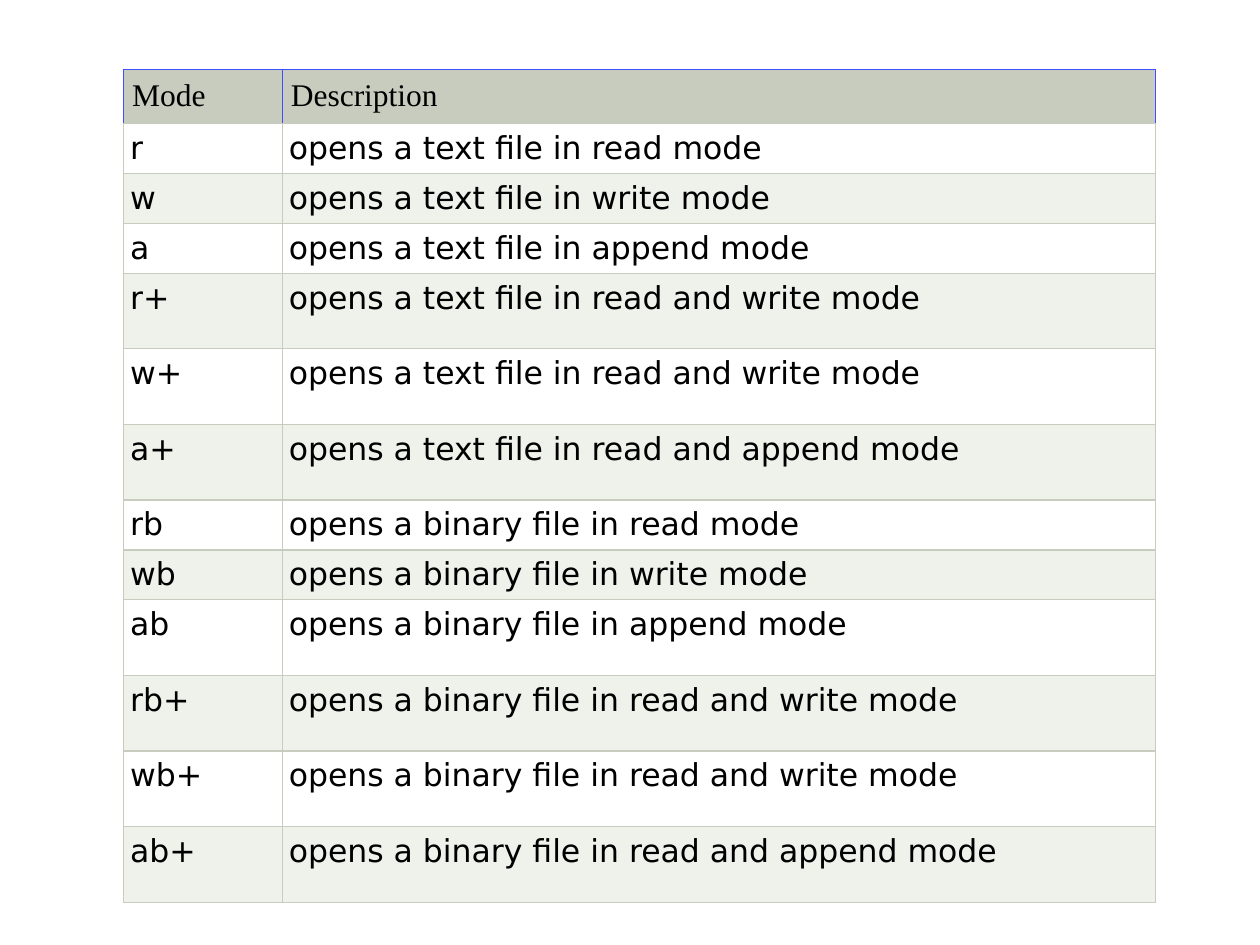
from dataclasses import dataclass

from lxml.etree import SubElement
from pptx import Presentation
from pptx.dml.color import RGBColor as RGB
from pptx.oxml.ns import qn
from pptx.util import Pt


@dataclass(frozen=True)
class Theme:
    ink: str = "000000"
    header_fill: str = "C7CCBE"
    header_edge: str = "404FFC"
    grid: str = "C7CCBE"
    plain: str = "FFFFFF"
    band: str = "EFF1EB"
    header_face: str = "Times New Roman"
    body_face: str = "DejaVu Sans"
    size: float = 18
    edge_width: float = 0.75


@dataclass(frozen=True)
class RowStyle:
    face: str
    fill: str
    inset: float
    edges: dict[str, str]


@dataclass(frozen=True)
class FileMode:
    mode: str
    description: str
    height: float


THEME = Theme()
LEFT, TOP = 70.56, 39.6
COLUMN_WIDTHS = (90.7, 499)
HEADER_HEIGHT, SHORT, TALL = 31, 26, 43.2

GRID_EDGES = dict.fromkeys("LRTB", THEME.grid)
HEADER_EDGES = dict.fromkeys("LRT", THEME.header_edge) | {"B": THEME.grid}
HEADER_STYLE = RowStyle(THEME.header_face, THEME.header_fill, 5, HEADER_EDGES)
BODY_STYLES = [
    RowStyle(THEME.body_face, fill, 3.8, GRID_EDGES)
    for fill in (THEME.plain, THEME.band)
]

HEADER = FileMode("Mode", "Description", HEADER_HEIGHT)
FILE_MODES = [
    FileMode("r", "opens a text file in read mode", SHORT),
    FileMode("w", "opens a text file in write mode", SHORT),
    FileMode("a", "opens a text file in append mode", SHORT),
    FileMode("r+", "opens a text file in read and write mode", TALL),
    FileMode("w+", "opens a text file in read and write mode", TALL),
    FileMode("a+", "opens a text file in read and append mode", TALL),
    FileMode("rb", "opens a binary file in read mode", SHORT),
    FileMode("wb", "opens a binary file in write mode", SHORT),
    FileMode("ab", "opens a binary file in append mode", TALL),
    FileMode("rb+", "opens a binary file in read and write mode", TALL),
    FileMode("wb+", "opens a binary file in read and write mode", TALL),
    FileMode("ab+", "opens a binary file in read and append mode", TALL),
]


def draw_edges(cell, edges: dict[str, str]) -> None:
    properties = cell._tc.get_or_add_tcPr()
    for side in "LRTB":
        edge = SubElement(properties, qn(f"a:ln{side}"), w=str(Pt(THEME.edge_width)))
        paint = SubElement(edge, qn("a:solidFill"))
        SubElement(paint, qn("a:srgbClr"), val=edges[side])


def fill_cell(cell, wording: str, style: RowStyle) -> None:
    cell.margin_left = cell.margin_right = Pt(style.inset)
    cell.margin_top = cell.margin_bottom = Pt(style.inset)
    draw_edges(cell, style.edges)
    cell.fill.solid()
    cell.fill.fore_color.rgb = RGB.from_string(style.fill)
    cell.text = wording
    font = cell.text_frame.paragraphs[0].font
    font.name = style.face
    font.size = Pt(THEME.size)
    font.bold = False
    font.color.rgb = RGB.from_string(THEME.ink)


def fill_row(table, index: int, entry: FileMode, style: RowStyle) -> None:
    table.rows[index].height = Pt(entry.height)
    for column, wording in enumerate((entry.mode, entry.description)):
        fill_cell(table.cell(index, column), wording, style)


def draw_mode_table(slide) -> None:
    entries = [HEADER, *FILE_MODES]
    table = slide.shapes.add_table(
        len(entries), len(COLUMN_WIDTHS), Pt(LEFT), Pt(TOP),
        Pt(sum(COLUMN_WIDTHS)), Pt(sum(entry.height for entry in entries)),
    ).table
    table.first_row = table.horz_banding = False
    for column, width in zip(table.columns, COLUMN_WIDTHS):
        column.width = Pt(width)
    fill_row(table, 0, HEADER, HEADER_STYLE)
    for number, entry in enumerate(FILE_MODES):
        fill_row(table, number + 1, entry, BODY_STYLES[number % 2])


def main() -> None:
    deck = Presentation()
    deck.slide_width, deck.slide_height = Pt(720), Pt(540)
    draw_mode_table(deck.slides.add_slide(deck.slide_layouts[6]))
    deck.save("out.pptx")


if __name__ == "__main__":
    main()
